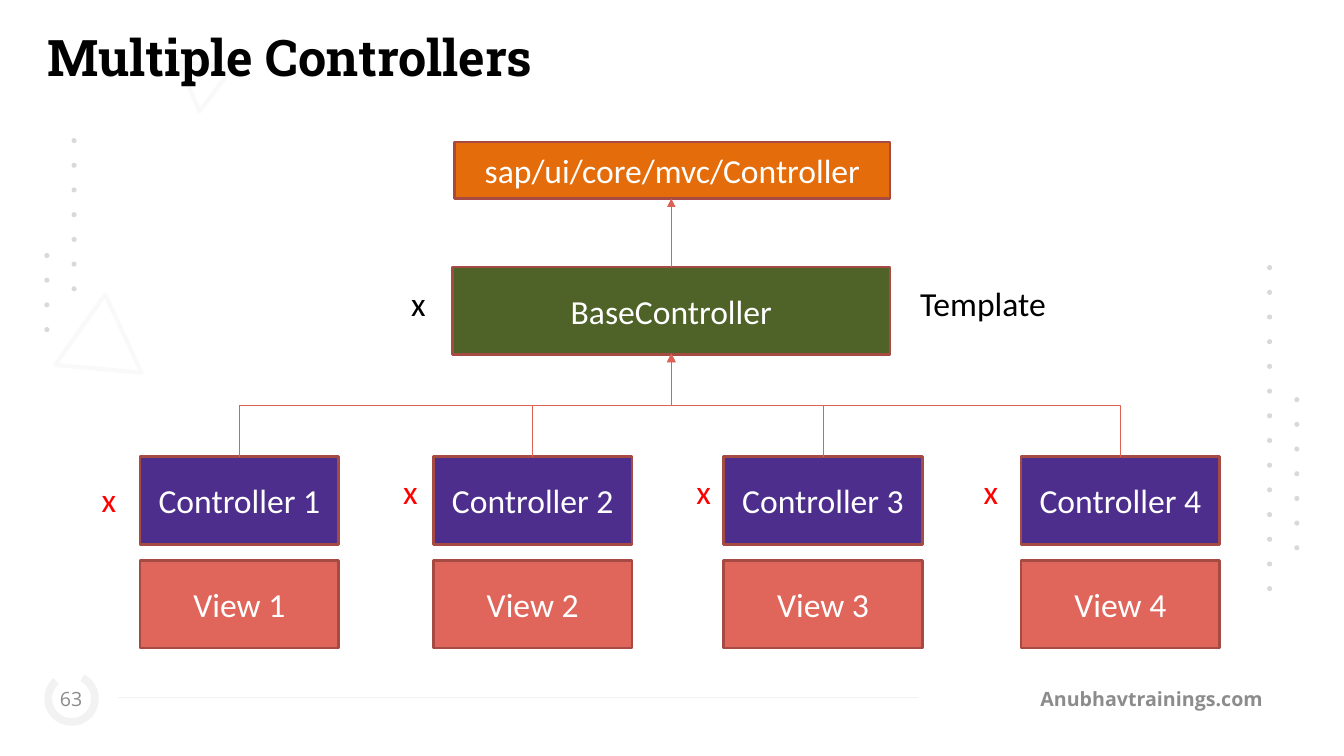
"""Build the Multiple Controllers slide."""
import pptx
import pptx.util
import pptx.dml.color
import pptx.enum.shapes
import pptx.enum.text
import pptx.oxml
import pptx.oxml.ns

KIND = pptx.enum.shapes.MSO_SHAPE
LINK = pptx.enum.shapes.MSO_CONNECTOR
ALIGN = pptx.enum.text.PP_ALIGN
ANCHOR = pptx.enum.text.MSO_ANCHOR
GROW = pptx.enum.text.MSO_AUTO_SIZE.SHAPE_TO_FIT_TEXT

EDGE, WIRE, PALE, DOT = "A64B43", "DE6156", "F2F2F2", "D9D9D9"
BODY = {"name": "Calibri", "size": 24, "color": "000000"}
FOOT = {"name": "Open Sans", "size": 14, "color": "8C8C8C"}
HEAD = {"name": "Roboto Slab", "size": 36, "color": "000000", "bold": True}
RED = {**BODY, "color": "FF0000"}
WHITE = {**BODY, "color": "FFFFFF"}

GREY = [(1.82, 0.53, 0.54, 0.47, 66.8), (0.58, 2.92, 0.86, 0.74, 5.2)]
DOTS = [(12.84, 3.94, 7), (12.57, 2.63, 14), (0.71, 1.37, 7), (0.44, 2.51, 4)]
STEP = 0.245
LEFTS = [1.39, 4.3, 7.18, 10.13]
ROWS = [("View", 5.56, "E0665B"), ("Controller", 4.53, "4D2E8C")]
WIDE, HIGH = 1.97, 0.87
BASES = [
    ("BaseController", (4.49, 2.65, 4.34, 0.87), "4F6228"),
    ("sap/ui/core/mvc/Controller", (4.51, 1.41, 4.32, 0.56), "E46C0A"),
]
MID = 6.66
NOTES = [
    ("Multiple Controllers", (0.37, 0.21, 12.52, 0.71), HEAD),
    ("x", (3.98, 2.76, 0.55, 0.5), BODY),
    ("x", (0.91, 4.7, 0.51, 0.5), RED),
    ("x", (3.9, 4.62, 0.55, 0.5), RED),
    ("x", (6.81, 4.62, 0.49, 0.5), RED),
    ("x", (9.66, 4.62, 0.55, 0.5), RED),
    ("Template", (9.03, 2.76, 2.44, 0.5), BODY),
]
FEET = [
    ("Anubhavtrainings.com", (9.26, 6.73, 3.4, 0.4),
     {**FOOT, "bold": True}, ALIGN.RIGHT, 0.13),
    ("63", (0.5, 6.73, 0.41, 0.4), FOOT, ALIGN.CENTER, 0),
]

deck = pptx.Presentation()


def cm(inch):
    return pptx.util.Cm(inch * 2.54)


def tint(code):
    return pptx.dml.color.RGBColor.from_string(code)


def write(shape, text, font, align):
    para = shape.text_frame.paragraphs[0]
    para.alignment = align
    run = para.add_run()
    run.text = text
    for key, value in font.items():
        if key == "color":
            run.font.color.rgb = tint(value)
        else:
            setattr(run.font, key, pptx.util.Pt(value) if key == "size" else value)


def draw(kind, box, fill=None, line=None, width=2, turn=0):
    shape = slide.shapes.add_shape(kind, *map(cm, box))
    shape.shadow.inherit = False
    shape.rotation = turn
    if fill:
        shape.fill.solid()
        shape.fill.fore_color.rgb = tint(fill)
    else:
        shape.fill.background()
    if line:
        shape.line.color.rgb = tint(line)
        shape.line.width = pptx.util.Pt(width)
    else:
        shape.line.fill.background()
    return shape


def block(text, box, fill):
    write(draw(KIND.RECTANGLE, box, fill, EDGE), text, WHITE, ALIGN.CENTER)


def label(text, box, font, align=ALIGN.LEFT, **form):
    shape = slide.shapes.add_textbox(*map(cm, box))
    for key, value in {"word_wrap": True, **form}.items():
        setattr(shape.text_frame, key, value)
    write(shape, text, font, align)


def tag(node, name, **attrs):
    item = pptx.oxml.parse_xml(f"<a:{name} {pptx.oxml.ns.nsdecls('a')}/>")
    for key, value in attrs.items():
        item.set(key, value)
    node.append(item)


def wire(kind, start, end, color, arrow=True):
    link = slide.shapes.add_connector(kind, *map(cm, start + end))
    link.line.color.rgb = tint(color)
    link.line.width = pptx.util.Pt(0.75)
    if arrow:
        tag(link.line._get_or_add_ln(), "tailEnd", type="triangle")
    tag(link.element.spPr, "effectLst")
    return link


def elbow(start, end):
    link = wire(LINK.ELBOW, start, end, WIRE)
    (x1, y1), (x2, y2) = start, end
    wide, high = abs(y2 - y1), abs(x2 - x1)
    place = {"left": (x1 + x2 - wide) / 2, "top": (y1 + y2 - high) / 2,
             "width": wide, "height": high}
    for key, value in place.items():
        setattr(link, key, cm(value))
    east = x2 > x1
    turn = {"rot": str((90 if east else 270) * 60000),
            "flipH": str(int(east)), "flipV": "1"}
    for key, value in turn.items():
        link.element.spPr.find(pptx.oxml.ns.qn("a:xfrm")).set(key, value)


deck.slide_width, deck.slide_height = cm(13.333), cm(7.5)
slide = deck.slides.add_slide(deck.slide_layouts[6])

ring = draw(KIND.BLOCK_ARC, (0.44, 6.66, 0.54, 0.54), PALE, turn=228.7)
for i, value in enumerate((41.31, 0, 0.14)):
    ring.adjustments[i] = value
wire(LINK.STRAIGHT, (1.17, 6.92), (9.11, 6.92), PALE, False)
for *box, turn in GREY:
    shape = draw(KIND.ISOSCELES_TRIANGLE, box, None, DOT, 3, turn)
    for node in shape.element.spPr.iter(pptx.oxml.ns.qn("a:srgbClr")):
        tag(node, "alpha", val="14000")
for x, y, count in DOTS:
    for i in range(count):
        draw(KIND.OVAL, (x, y + i * STEP, 0.05, 0.05), DOT)

for text, box, font, align, side in FEET:
    label(text, box, font, align, vertical_anchor=ANCHOR.MIDDLE,
          margin_left=cm(side), margin_right=cm(side),
          margin_top=cm(0.07), margin_bottom=cm(0.07))
for text, box, font in NOTES:
    label(text, box, font, auto_size=GROW)
for i, x in enumerate(LEFTS, 1):
    for name, y, fill in ROWS:
        block(f"{name} {i}", (x, y, WIDE, HIGH), fill)
for base in BASES:
    block(*base)
for x in LEFTS:
    elbow((x + WIDE / 2, 4.53), (MID, 3.51))
wire(LINK.STRAIGHT, (MID, 2.65), (MID, 1.97), WIRE)

deck.save("out.pptx")
